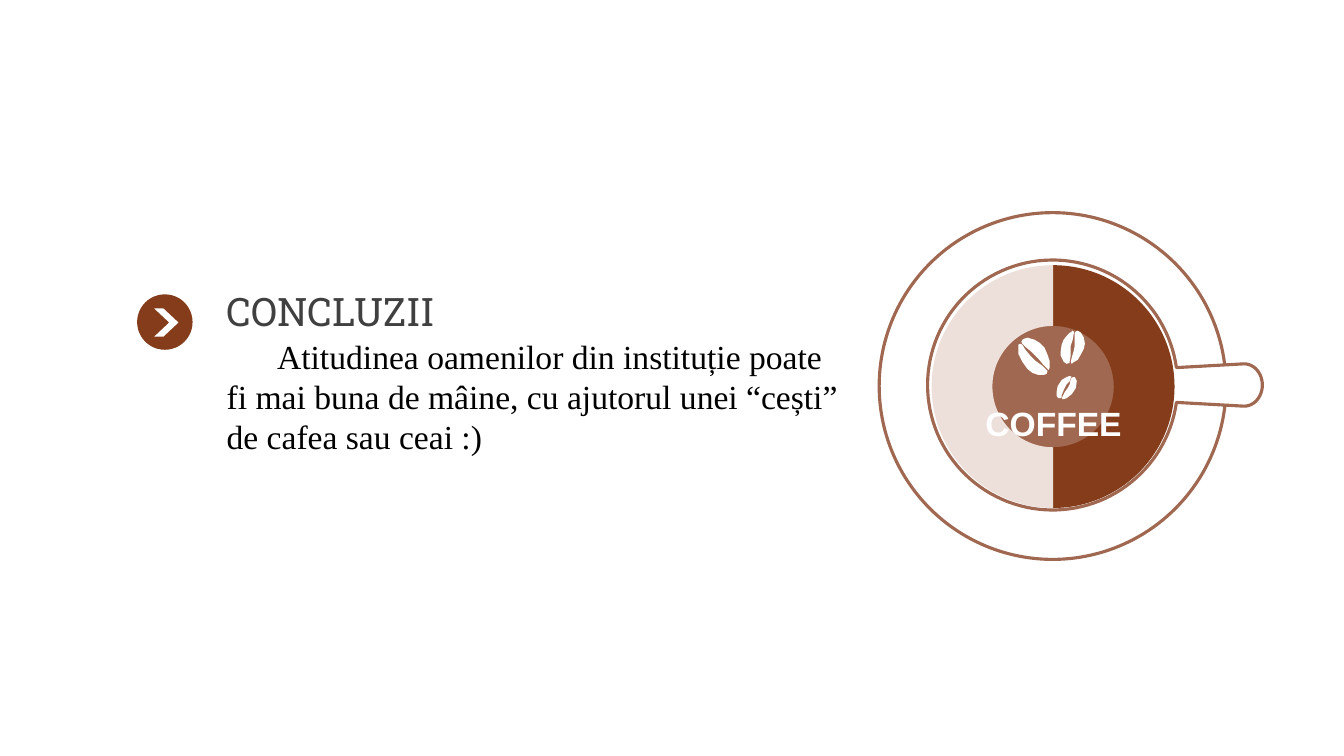
from math import cos, sin, radians

from lxml import etree
from pptx import Presentation
from pptx.chart.data import CategoryChartData
from pptx.dml.color import RGBColor
from pptx.enum.chart import XL_CHART_TYPE as ChartType
from pptx.enum.shapes import MSO_SHAPE as Shape
from pptx.enum.text import MSO_ANCHOR as Anchor, PP_ALIGN as Align
from pptx.oxml import parse_xml
from pptx.oxml.ns import nsdecls, qn
from pptx.util import Inches, Pt

WHITE = RGBColor(0xFF, 0xFF, 0xFF)
BLACK = RGBColor(0x00, 0x00, 0x00)
GREY = RGBColor(0x40, 0x40, 0x40)
BROWN = RGBColor(0x84, 0x3C, 0x1A)
LIGHT_BROWN = RGBColor(0xA0, 0x68, 0x50)
CREAM = RGBColor(0xED, 0xE0, 0xDB)

# Outlines of the bean halves, in hundredths of an inch
BEAN_HALVES = [
    [(1010, 345), (1010, 342), (1012, 341), (1014, 342), (1017, 347), (1022, 353),
     (1027, 358), (1034, 363), (1037, 366), (1039, 368), (1038, 371), (1035, 372),
     (1030, 372), (1024, 370), (1019, 366), (1014, 359), (1010, 351)],
    [(1019, 335), (1026, 337), (1031, 340), (1036, 345), (1039, 352), (1041, 358),
     (1041, 365), (1040, 367), (1038, 365), (1035, 362), (1030, 356), (1026, 352),
     (1023, 349), (1017, 344), (1014, 341), (1013, 339), (1014, 337), (1016, 336)],
    [(1052, 349), (1053, 342), (1055, 337), (1060, 331), (1063, 329), (1064, 328),
     (1065, 329), (1065, 331), (1064, 337), (1062, 343), (1062, 348), (1062, 353),
     (1061, 358), (1061, 360), (1058, 361), (1055, 359), (1052, 353)],
    [(1076, 341), (1075, 346), (1073, 350), (1069, 357), (1064, 360), (1063, 361),
     (1062, 359), (1063, 355), (1065, 348), (1066, 343), (1066, 340), (1066, 334),
     (1066, 330), (1067, 329), (1069, 328), (1072, 330), (1075, 335)],
    [(1054, 396), (1053, 395), (1054, 393), (1056, 389), (1059, 385), (1061, 381),
     (1062, 376), (1064, 374), (1066, 374), (1068, 378), (1067, 385), (1063, 391),
     (1058, 395), (1055, 396)],
    [(1048, 389), (1049, 383), (1053, 377), (1058, 374), (1061, 373), (1063, 374),
     (1062, 375), (1061, 378), (1058, 381), (1055, 387), (1053, 392), (1053, 394),
     (1052, 395), (1050, 395), (1048, 393)],
]


def paint(shape, fill, line=None):
    shape.shadow.inherit = False
    shape.fill.solid()
    shape.fill.fore_color.rgb = fill
    if line is None:
        shape.line.fill.background()
    else:
        shape.line.color.rgb = line
        shape.line.width = Pt(2.25)


def add_preset(page, kind, left, top, width, height, fill, line=None):
    shape = page.shapes.add_shape(
        kind, Inches(left), Inches(top), Inches(width), Inches(height))
    paint(shape, fill, line)
    return shape


def add_circle(page, center_x, center_y, radius, fill, line=None):
    add_preset(page, Shape.OVAL, center_x - radius, center_y - radius,
               2 * radius, 2 * radius, fill, line)


def add_outline(page, points, scale, fill, line=None):
    builder = page.shapes.build_freeform(*points[0], scale=scale)
    builder.add_line_segments(points[1:], close=True)
    paint(builder.convert_to_shape(), fill, line)


def arc(center_x, center_y, radius_x, radius_y, start, end, steps):
    angles = [radians(start + (end - start) * i / steps) for i in range(steps + 1)]
    return [(Inches(center_x + radius_x * cos(a)), Inches(center_y + radius_y * sin(a)))
            for a in angles]


def add_text(page, left, top, width, height, text, font, size, color, bold=False,
             align=Align.LEFT, anchor=Anchor.MIDDLE, first_indent=0):
    box = page.shapes.add_textbox(
        Inches(left), Inches(top), Inches(width), Inches(height))
    frame = box.text_frame
    frame.word_wrap = True
    frame.vertical_anchor = anchor
    frame.text = text
    para = frame.paragraphs[0]
    para.alignment = align
    if first_indent:
        properties = para._p.get_or_add_pPr()
        properties.set("marL", "0")
        properties.set("indent", str(Inches(first_indent)))
    span = para.runs[0].font
    span.name, span.size, span.bold = font, Pt(size), bold
    span.color.rgb = color


def add_coffee_ring(page):
    data = CategoryChartData()
    data.categories = ["1", "2"]
    data.add_series("Series 1", (50, 50))
    chart = page.shapes.add_chart(
        ChartType.DOUGHNUT, Inches(9.24), Inches(2.63), Inches(2.41), Inches(2.5),
        data).chart
    chart.has_legend = False
    chart.has_title = False
    chart.font.name, chart.font.size = "Arial", Pt(18)
    chart.font.color.rgb = BLACK
    for index, color in enumerate((BROWN, CREAM)):
        half = chart.plots[0].series[0].points[index].format
        half.fill.solid()
        half.fill.fore_color.rgb = color
        half.line.fill.background()

    # Hole size, plot position and clear background
    space = chart._chartSpace
    doughnut = space.find(".//" + qn("c:doughnutChart"))
    hole = doughnut.find(qn("c:holeSize"))
    if hole is None:
        hole = etree.SubElement(doughnut, qn("c:holeSize"))
    hole.set("val", "84")
    plot_area = space.find(".//" + qn("c:plotArea"))
    for old in plot_area.findall(qn("c:layout")):
        plot_area.remove(old)
    layout = etree.Element(qn("c:layout"))
    manual = etree.SubElement(layout, qn("c:manualLayout"))
    for tag, value in (("layoutTarget", "inner"), ("xMode", "edge"), ("yMode", "edge"),
                       ("x", "0"), ("y", "0"), ("w", "1"), ("h", "0.965")):
        etree.SubElement(manual, qn("c:" + tag)).set("val", value)
    plot_area.insert(0, layout)
    space.find(qn("c:chart")).addnext(parse_xml(
        f'<c:spPr {nsdecls("c", "a")}><a:noFill/><a:ln><a:noFill/></a:ln></c:spPr>'))


def add_cup(page):
    # Saucer, cup with handle, and core
    add_circle(page, 10.44, 3.83, 1.72, WHITE, LIGHT_BROWN)
    rim = arc(10.44, 3.82, 1.24, 1.24, -8, -352, 120)
    handle = arc(12.34, 3.82, 0.18, 0.21, 90, -90, 24)
    add_outline(page, rim + handle, 1.0, WHITE, LIGHT_BROWN)
    add_circle(page, 10.44, 3.83, 0.98, LIGHT_BROWN, LIGHT_BROWN)
    add_coffee_ring(page)
    add_text(page, 9.57, 3.95, 1.76, 0.5, "COFFEE", "Arial", 24, WHITE,
             bold=True, align=Align.CENTER)
    for half in BEAN_HALVES:
        add_outline(page, half, Inches(0.01), WHITE)


def add_conclusion(page):
    add_text(page, 2.15, 2.8, 2.86, 0.57, "CONCLUZII", "Roboto Slab", 28, GREY)
    add_text(page, 2.15, 3.28, 6.26, 1.72,
             "Atitudinea oamenilor din instituție poate fi mai buna de mâine, "
             "cu ajutorul unei “cești” de cafea sau ceai :)",
             "Times New Roman", 24, BLACK, anchor=Anchor.TOP, first_indent=0.5)
    # Arrow badge
    add_preset(page, Shape.OVAL, 1.36, 2.92, 0.55, 0.55, BROWN)
    arrow = add_preset(page, Shape.CHEVRON, 1.53, 3.06, 0.24, 0.28, WHITE)
    arrow.adjustments[0] = 0.62


def main():
    deck = Presentation()
    deck.slide_width, deck.slide_height = Inches(13.33), Inches(7.5)
    page = deck.slides.add_slide(deck.slide_layouts[6])
    add_cup(page)
    add_conclusion(page)
    deck.save("out.pptx")


if __name__ == "__main__":
    main()
